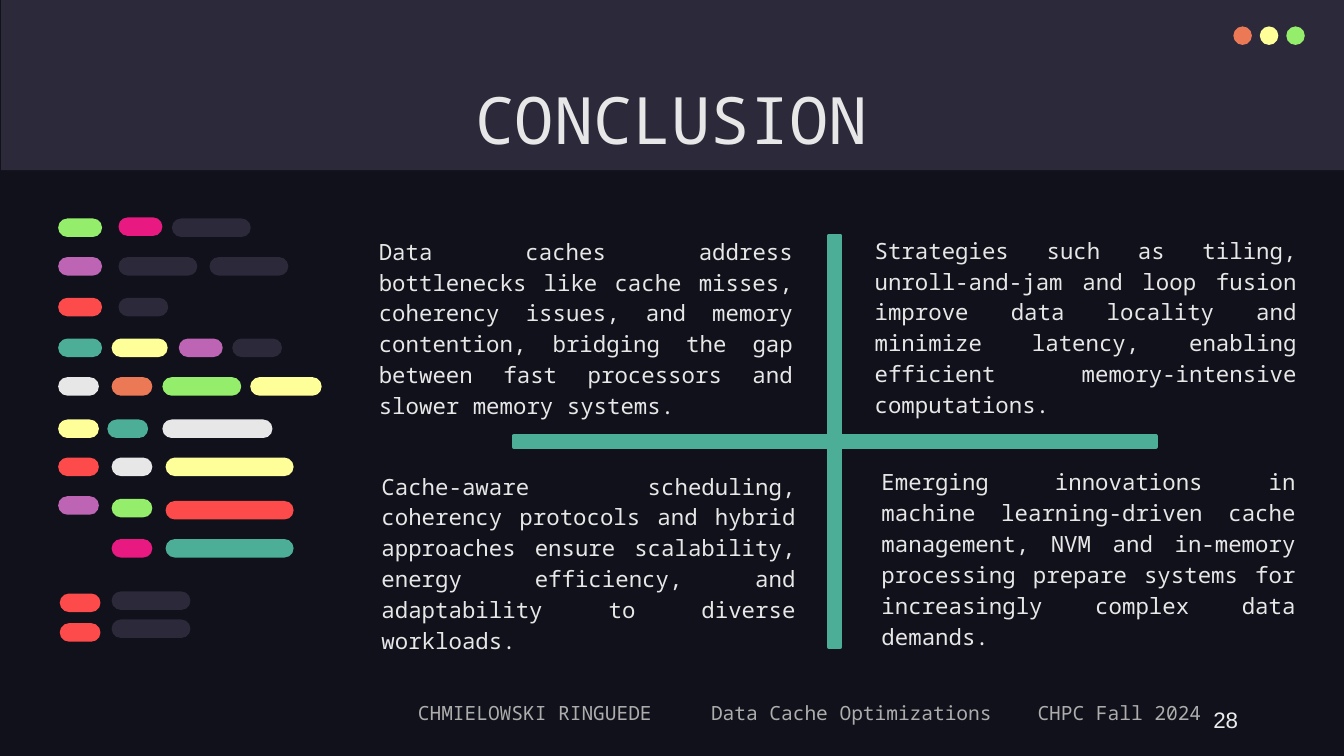
from lxml import etree
from pptx import Presentation
from pptx.dml.color import RGBColor
from pptx.enum.shapes import MSO_SHAPE as SHAPE
from pptx.enum.text import MSO_ANCHOR as ANCHOR, PP_ALIGN as ALIGN
from pptx.oxml.ns import qn
from pptx.util import Cm, Pt

rgb = RGBColor.from_string
NIGHT, SLATE, WHITE = "10111A", "2C293A", "E7E7E7"
ORANGE, YELLOW, GREEN, PINK = "EC7955", "FFFF99", "94EE6B", "E81A81"
PURPLE, RED, TEAL = "BD64B5", "FD4A4A", "4CAE97"
MONO = "Noto Sans Mono"

prs = Presentation()
prs.slide_width, prs.slide_height = Cm(25.4), Cm(14.29)
slide = prs.slides.add_slide(prs.slide_layouts[6])
slide.background.fill.solid()
slide.background.fill.fore_color.rgb = rgb(NIGHT)


def draw(parent, kind, left, top, width, height, color):
    shape = parent.shapes.add_shape(kind, Cm(left), Cm(top), Cm(width), Cm(height))
    shape.shadow.inherit = False
    shape.fill.solid()
    shape.fill.fore_color.rgb = rgb(color)
    shape.line.fill.background()
    return shape


def write(text, left, top, width, height, size, align, color=WHITE, font=MONO, spacing=None):
    frame = slide.shapes.add_textbox(Cm(left), Cm(top), Cm(width), Cm(height)).text_frame
    frame.word_wrap = True
    frame.margin_left = frame.margin_right = Cm(0.25)
    frame.margin_top = frame.margin_bottom = Cm(0.25)
    frame.vertical_anchor = ANCHOR.TOP
    line = frame.paragraphs[0]
    line.text = text
    line.alignment = align
    line.line_spacing = spacing
    line.font.size = Pt(size)
    line.font.name = font
    line.font.color.rgb = rgb(color)
    return frame


# Footer, with a tab stop for each later entry
footer = write("CHMIELOWSKI RINGUEDE\tData Cache Optimizations\tCHPC Fall 2024",
               7.65, 12.93, 17.5, 1, 10.5, ALIGN.LEFT, "ADADAD", spacing=1.15)
tab_list = etree.Element(qn("a:tabLst"))
for stop in (5.54, 11.71):
    etree.SubElement(tab_list, qn("a:tab"), pos=str(Cm(stop)), algn="l")
footer.paragraphs[0]._p.get_or_add_pPr().append(tab_list)

# Header band, window buttons and title
draw(slide, SHAPE.RECTANGLE, 0.02, 0, 25.38, 3.22, SLATE)
buttons = slide.shapes.add_group_shape()
for i, color in enumerate((ORANGE, YELLOW, GREEN)):
    draw(buttons, SHAPE.OVAL, 23.31 + 0.5 * i, 0.5, 0.35, 0.35, color)
write("CONCLUSION", 2, 1.25, 21.4, 1.6, 35, ALIGN.CENTER)

# Four conclusions
conclusions = [
    (6.91, 4.17, 8.33, 2.82,
     "Data caches address bottlenecks like cache misses, coherency issues, and memory "
     "contention, bridging the gap between fast processors and slower memory systems."),
    (16.28, 4.15, 8.48, 2.31,
     "Strategies such as tiling, unroll-and-jam and loop fusion improve data locality and "
     "minimize latency, enabling efficient memory-intensive computations."),
    (6.96, 8.61, 8.33, 2.31,
     "Cache-aware scheduling, coherency protocols and hybrid approaches ensure scalability, "
     "energy efficiency, and adaptability to diverse workloads."),
    (16.41, 8.53, 8.33, 2.31,
     "Emerging innovations in machine learning-driven cache management, NVM and in-memory "
     "processing prepare systems for increasingly complex data demands."),
]
for left, top, width, height, text in conclusions:
    write(text, left, top, width, height, 12, ALIGN.JUSTIFY, spacing=1.15)

# Code lines: top of each line, then (left, width, color) of its tokens
code_lines = [
    (4.13, [(1.1, 0.83, GREEN), (3.25, 1.49, SLATE)]),
    (4.11, [(2.24, 0.83, PINK)]),
    (4.86, [(1.1, 0.83, PURPLE), (2.24, 1.49, SLATE), (3.96, 1.49, SLATE)]),
    (5.63, [(1.1, 0.83, RED), (2.24, 0.94, SLATE)]),
    (6.4, [(1.1, 0.83, TEAL), (2.11, 1.06, YELLOW), (3.38, 0.83, PURPLE), (4.39, 0.94, SLATE)]),
    (7.13, [(1.1, 0.77, WHITE), (2.11, 0.77, ORANGE), (3.07, 1.49, GREEN), (4.73, 1.35, YELLOW)]),
    (7.93, [(1.1, 0.77, YELLOW), (2.03, 0.77, TEAL), (3.07, 2.08, WHITE)]),
    (8.65, [(1.1, 0.77, RED), (2.11, 0.77, WHITE), (3.13, 2.42, YELLOW)]),
    (9.38, [(1.1, 0.77, PURPLE)]),
    (9.43, [(2.11, 0.77, GREEN)]),
    (9.47, [(3.13, 2.42, RED)]),
    (10.19, [(2.11, 0.77, PINK), (3.13, 2.42, TEAL)]),
    (11.18, [(2.11, 1.49, SLATE)]),
    (11.22, [(1.13, 0.77, RED)]),
    (11.71, [(2.11, 1.49, SLATE)]),
    (11.78, [(1.13, 0.77, RED)]),
]
code = slide.shapes.add_group_shape()
for top, tokens in code_lines:
    for left, width, color in tokens:
        token = draw(code, SHAPE.ROUNDED_RECTANGLE, left, top, width, 0.35, color)
        token.adjustments[0] = 0.5

# Page number
page_number = write("28", 17.93, 13.23, 5.72, 0.76, 12, ALIGN.RIGHT, "ECECEC", "Arial")
page_number.margin_top = page_number.margin_bottom = Cm(0.13)
page_number.vertical_anchor = ANCHOR.MIDDLE

# Cross between the conclusions
cross = draw(slide, SHAPE.MATH_PLUS, 7.52, 3.05, 16.51, 10.59, TEAL)
cross.adjustments[0] = 0.02
cross.line.color.rgb = rgb(TEAL)
cross.line.width = Pt(2)

prs.save("out.pptx")
